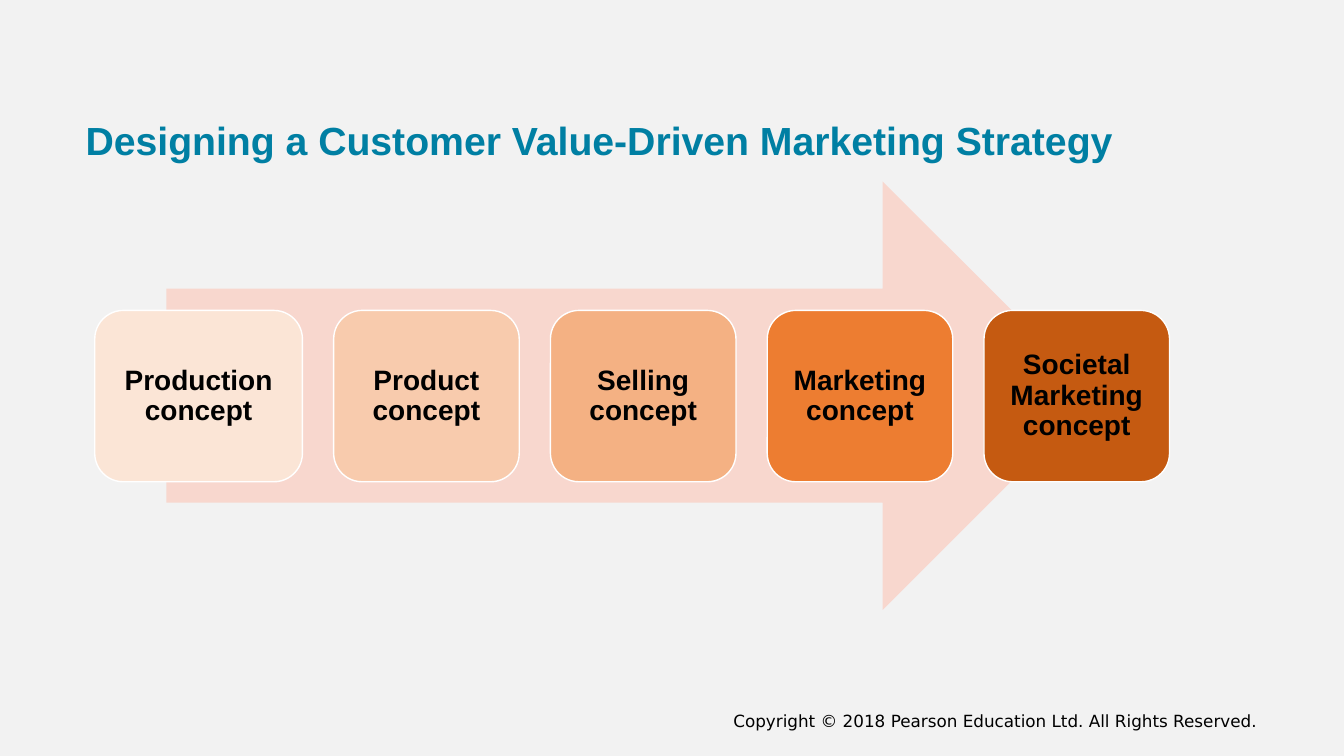
from pptx import Presentation
from pptx.dml.color import RGBColor
from pptx.enum.shapes import MSO_SHAPE as Shape
from pptx.enum.text import MSO_ANCHOR as Anchor, PP_ALIGN as Align
from pptx.util import Inches, Pt

TITLE = "Designing a Customer Value-Driven Marketing Strategy"
COPYRIGHT = "Copyright © 2018 Pearson Education Ltd. All Rights Reserved."
CONCEPTS = [
    ("Production concept", "FBE5D6", 2.06),
    ("Product concept", "F8CBAD", 1.84),
    ("Selling concept", "F4B183", 1.84),
    ("Marketing concept", "ED7D31", 1.84),
    ("Societal Marketing concept", "C55A11", 1.84),
]
BACKGROUND, ARROW_COLOR = "F2F2F2", "F8D7CE"
FIRST_LEFT, CARD_TOP, CARD_HEIGHT, GAP = 0.94, 3.08, 1.7, 0.31
CARD_INSET = 0.08


def paint(color_format, color):
    color_format.rgb = RGBColor.from_string(color)


def fill_solid(fill, color):
    fill.solid()
    paint(fill.fore_color, color)


def write(shape, text, size, color, align, anchor, font="Arial", bold=True, spacing=0.9):
    frame = shape.text_frame
    frame.text = text
    frame.word_wrap = True
    frame.vertical_anchor = anchor
    paragraph = frame.paragraphs[0]
    paragraph.alignment = align
    paragraph.line_spacing = spacing
    run_font = paragraph.runs[0].font
    run_font.name, run_font.size, run_font.bold = font, Pt(size), bold
    paint(run_font.color, color)


def add_block(slide, kind, box, color):
    shape = slide.shapes.add_shape(kind, *map(Inches, box))
    shape.shadow.inherit = False
    fill_solid(shape.fill, color)
    shape.line.fill.background()
    return shape


def add_card(slide, left, width, text, color):
    card = add_block(slide, Shape.ROUNDED_RECTANGLE, (left, CARD_TOP, width, CARD_HEIGHT), color)
    fill_solid(card.line.fill, "FFFFFF")
    card.line.width = Pt(1)
    frame = card.text_frame
    frame.margin_left = frame.margin_right = Inches(CARD_INSET)
    frame.margin_top = frame.margin_bottom = Inches(CARD_INSET)
    write(card, text, 20, "000000", Align.CENTER, Anchor.MIDDLE)


def main():
    presentation = Presentation()
    presentation.slide_width, presentation.slide_height = Inches(13.33), Inches(7.5)
    slide = presentation.slides.add_slide(presentation.slide_layouts[6])
    fill_solid(slide.background.fill, BACKGROUND)

    footer = slide.shapes.add_textbox(*map(Inches, (5.08, 7, 7.49, 0.37)))
    write(footer, COPYRIGHT, 12, "000000", Align.RIGHT, Anchor.TOP, "DejaVu Sans", False, 1.0)
    title = slide.shapes.add_textbox(*map(Inches, (0.75, 1.02, 10.52, 0.79)))
    write(title, TITLE, 28, "007FA3", Align.LEFT, Anchor.MIDDLE)

    add_block(slide, Shape.RIGHT_ARROW, (1.65, 1.8, 9.23, 4.25), ARROW_COLOR)
    left = FIRST_LEFT
    for text, color, width in CONCEPTS:
        add_card(slide, left, width, text, color)
        left += width + GAP

    presentation.save("out.pptx")


if __name__ == "__main__":
    main()
